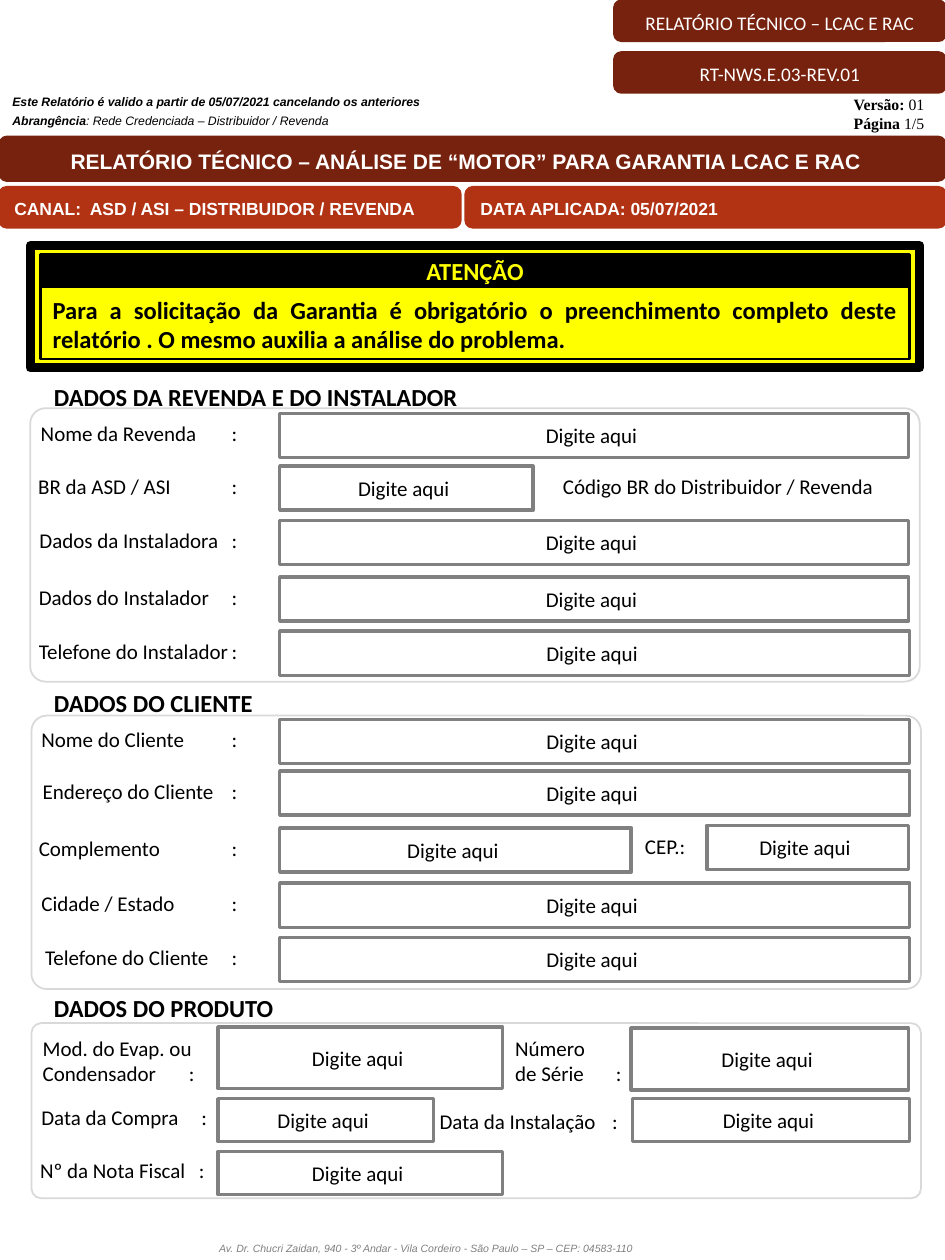
"""Build the one-page warranty report form for motor analysis."""
from dataclasses import dataclass

from lxml.etree import SubElement
from pptx import Presentation
from pptx.dml.color import RGBColor
from pptx.enum.shapes import MSO_SHAPE as Shape
from pptx.enum.text import MSO_ANCHOR as Anchor, PP_ALIGN as Align
from pptx.oxml.ns import qn
from pptx.util import Inches, Pt


@dataclass(frozen=True)
class Theme:
    maroon: str = "77220E"
    brick: str = "B23214"
    yellow: str = "FFFF00"
    black: str = "000000"
    white: str = "FFFFFF"
    field_line: str = "808080"
    frame_line: str = "D9D9D9"
    body: str = "Calibri"
    banner: str = "Arial"
    edition: str = "Times New Roman"
    heading: int = 14
    entry: int = 12
    title: int = 12
    code: int = 11
    channel: int = 10
    version: int = 9
    notice: int = 7
    address: int = 6


theme = Theme()
form = Presentation()
form.slide_width, form.slide_height = Inches(7.5), Inches(10)
page = form.slides.add_slide(form.slide_layouts[6])
column, row = form.slide_width / 75, form.slide_height / 100


def add_panel(place, fill=None, line=None, weight=2, preset=Shape.RECTANGLE, corner=None):
    left, top, width, height = place
    panel = page.shapes.add_shape(
        preset, round(left * column), round(top * row), round(width * column), round(height * row))
    panel.shadow.inherit = False
    if corner:
        panel.adjustments[0] = corner
    if fill:
        panel.fill.solid()
        panel.fill.fore_color.rgb = RGBColor.from_string(fill)
    else:
        panel.fill.background()
    panel.line.color.rgb = RGBColor.from_string(line or fill)
    panel.line.width = Pt(weight)
    return panel


def write(target, lines, size, face=theme.body, color=theme.black, align=Align.LEFT,
          tab=None, paragraph_format=None, frame_format=None, **font_format):
    if isinstance(target, tuple):
        left, top, width, height = target
        target = page.shapes.add_textbox(
            round(left * column), round(top * row), round(width * column), round(height * row))
    frame = target.text_frame
    for key, value in {"word_wrap": True, **(frame_format or {})}.items():
        setattr(frame, key, value)
    for index, runs in enumerate(lines):
        paragraph = frame.add_paragraph() if index else frame.paragraphs[0]
        if tab:
            stops = SubElement(paragraph._p.get_or_add_pPr(), qn("a:tabLst"))
            SubElement(stops, qn("a:tab"), pos=str(round(tab * column)), algn="l")
        for key, value in {"alignment": align, **(paragraph_format or {})}.items():
            setattr(paragraph, key, value)
        for words, *bold in [(runs,)] if isinstance(runs, str) else runs:
            run = paragraph.add_run()
            run.text = words
            run.font.color.rgb = RGBColor.from_string(color)
            own = {"name": face, "size": Pt(size), **font_format}
            if bold:
                own["bold"] = bold[0]
            for key, value in own.items():
                setattr(run.font, key, value)


loose = {"line_spacing": 1.15, "space_after": Pt(10)}

banners = [
    ((48.8, 0.1, 26.2, 3.1), theme.maroon, "RELATÓRIO TÉCNICO – LCAC E RAC",
     theme.code, theme.body, False, Align.CENTER, None, 1),
    ((48.8, 4.2, 26.2, 3.1), theme.maroon, "RT-NWS.E.03-REV.01",
     theme.code, theme.body, False, Align.CENTER, None, 1),
    ((0, 10.9, 75, 3.4), theme.maroon,
     "RELATÓRIO TÉCNICO – ANÁLISE DE “MOTOR” PARA GARANTIA LCAC E RAC",
     theme.title, theme.banner, True, Align.CENTER, None, 2),
    ((0, 14.9, 36.5, 3.1), theme.brick, "CANAL:\tASD / ASI – DISTRIBUIDOR / REVENDA",
     theme.channel, theme.banner, True, Align.LEFT, 6, 1),
    ((37, 14.9, 38, 3.1), theme.brick, "DATA APLICADA: 05/07/2021",
     theme.channel, theme.banner, True, Align.LEFT, None, 1),
]
for place, fill, words, size, face, bold, align, tab, right in banners:
    banner = add_panel(place, fill, preset=Shape.ROUNDED_RECTANGLE)
    write(banner, [words], size, face, theme.white, align, tab, loose,
          {"margin_right": round(right * column), "vertical_anchor": Anchor.MIDDLE}, bold=bold)

write((0, 6.8, 43.8, 1.4),
      ["Este Relatório é valido a partir de 05/07/2021 cancelando os anteriores"],
      theme.notice, theme.banner, paragraph_format=loose, bold=True, italic=True)
write((0, 8.3, 41.6, 2.3),
      [[("Abrangência", True), (": Rede Credenciada – Distribuidor / Revenda", False)]],
      theme.notice, theme.banner, paragraph_format=loose, italic=True)
write((66.3, 7.3, 8.5, 3.5),
      [[("Versão:", True), (" 01", False)], [("Página ", True), ("1/5", False)]],
      theme.version, theme.edition, align=Align.CENTER,
      frame_format={"margin_left": 0, "margin_right": 0, "margin_top": 0,
                    "margin_bottom": 0, "vertical_anchor": Anchor.MIDDLE})
write((0, 97.9, 67.6, 2.1),
      ["Av. Dr. Chucri Zaidan, 940 - 3º Andar - Vila Cordeiro - São Paulo – SP – CEP: 04583-110"],
      theme.address, theme.banner, theme.field_line, Align.CENTER,
      paragraph_format=loose, italic=True)

add_panel((2.4, 19.5, 70.6, 9.7), theme.yellow, theme.black, 5.25)
warning = add_panel((3.2, 20.4, 69, 8.1), theme.yellow, theme.black, 1.5)
write(warning,
      ["Para a solicitação da Garantia é obrigatório o preenchimento completo deste "
       "relatório . O mesmo auxilia a análise do problema."],
      theme.heading, align=Align.JUSTIFY, bold=True,
      frame_format={"margin_top": round(3 * row), "vertical_anchor": Anchor.TOP})
attention = add_panel((3.2, 20.2, 69, 2.5), theme.black)
write(attention, ["ATENÇÃO"], theme.heading, color=theme.yellow, align=Align.CENTER,
      frame_format={"vertical_anchor": Anchor.MIDDLE}, bold=True)

sections = [
    ("DADOS DA REVENDA E DO INSTALADOR", 29.8, (2.4, 32.4, 70.6, 21.7)),
    ("DADOS DO CLIENTE", 54.1, (2.5, 56.8, 70.6, 21.7)),
    ("DADOS DO PRODUTO", 78.3, (2.5, 81.2, 70.6, 13.9)),
]
for heading, top, frame_place in sections:
    write((3.3, top, 36, 3.4), [heading], theme.heading, bold=True)
    add_panel(frame_place, line=theme.frame_line, weight=1,
              preset=Shape.ROUNDED_RECTANGLE, corner=0.056)

contact_rows = [
    ("Nome da Revenda", 2.25, 32.8, 49.9),
    ("BR da ASD / ASI", 2.05, 37, 20.1),
    ("Dados da Instaladora", 2.15, 41.3, 49.9),
    ("Dados do Instalador", 2.1, 45.8, 49.9),
    ("Telefone do Instalador", 2.1, 50.1, 50),
    ("Nome do Cliente", 2.3, 57.1, 50),
    ("Endereço do Cliente", 2.4, 61.2, 50),
    ("Complemento", 2.1, 65.7, 27.9),
    ("Cidade / Estado", 2.3, 70.1, 50),
    ("Telefone do Cliente", 2.6, 74.4, 50),
]
labels = [([f"{name}\t:"], left, top + 0.1, 20.5 - left, 18.4)
          for name, left, top, width in contact_rows]
labels += [
    (["Código BR do Distribuidor / Revenda"], 43.7, 37.1, 28, None),
    (["CEP.:"], 50.2, 65.7, 6, None),
    (["Mod. do Evap. ou", "Condensador\t:"], 2.4, 81.7, 15.2, 15),
    (["Número", "de Série\t:"], 39.9, 81.7, 10.9, 48.9),
    (["Data da Compra\t:"], 2.3, 87.2, 15.6, 16),
    (["Data da Instalação\t:"], 33.9, 87.5, 16.8, 48.6),
    (["Nº da Nota Fiscal\t:"], 2.2, 91.4, 15.6, 15.8),
]
for lines, left, top, width, colon in labels:
    write((left, top, width, 2.5 * len(lines) + 0.5), lines, theme.entry,
          tab=colon and colon - left - 1)

fields = [(22.2, top, width, 3.5) for name, left, top, width in contact_rows]
fields += [
    (56.1, 65.5, 16, 3.5),
    (17.3, 81.5, 22.6, 4.9),
    (50.1, 81.6, 22, 4.9),
    (17.3, 87.2, 17.1, 3.4),
    (50.2, 87.2, 22, 3.4),
    (17.3, 91.4, 22.6, 3.4),
]
for place in fields:
    field = add_panel(place, line=theme.field_line)
    write(field, ["Digite aqui"], theme.entry, align=Align.CENTER,
          frame_format={"margin_right": round(1.4 * column), "vertical_anchor": Anchor.MIDDLE})

form.save("out.pptx")
